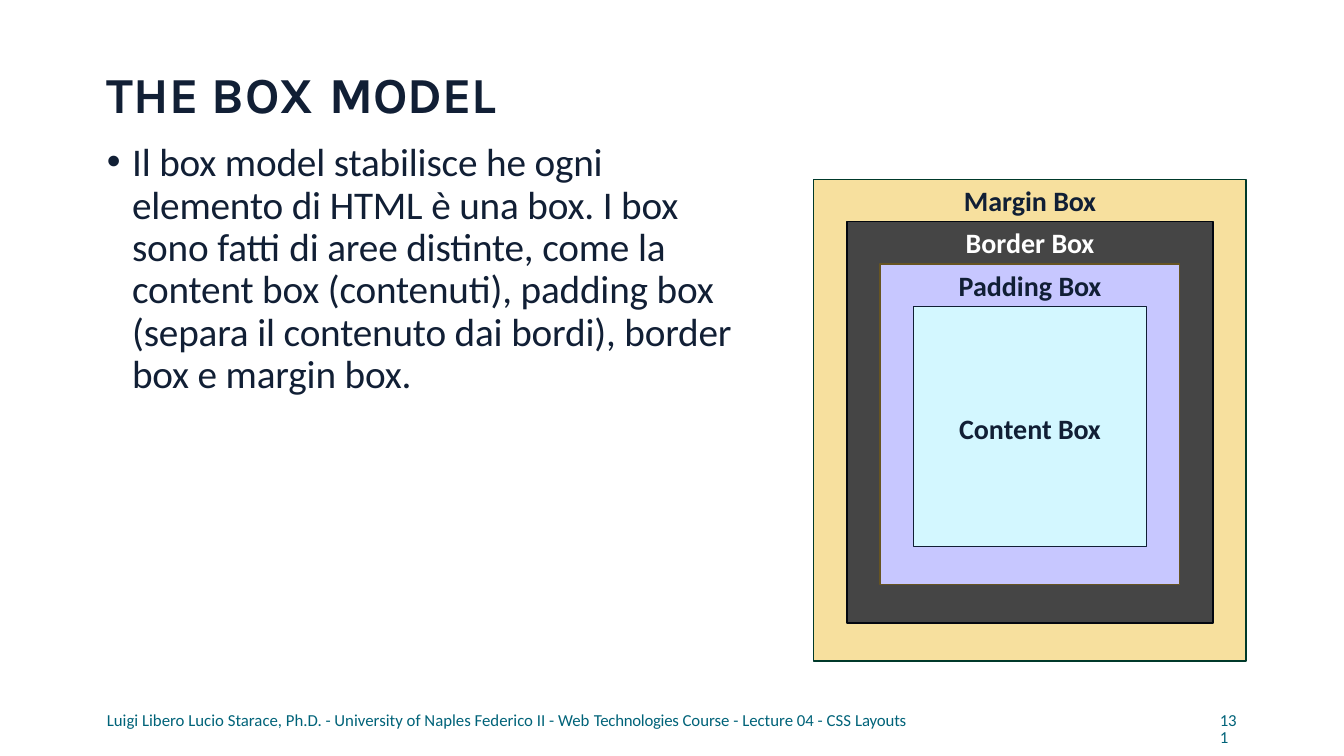
from lxml import etree
from pptx import Presentation
from pptx.dml.color import RGBColor
from pptx.enum.shapes import MSO_SHAPE
from pptx.enum.text import MSO_ANCHOR, PP_ALIGN
from pptx.oxml.ns import qn
from pptx.util import Inches, Pt

RECTANGLE = MSO_SHAPE.RECTANGLE
TOP, MIDDLE = MSO_ANCHOR.TOP, MSO_ANCHOR.MIDDLE
CENTER = PP_ALIGN.CENTER

NAVY, TEAL, WHITE = "111F35", "006379", "FFFFFF"
LEFT_EDGE, FOOTER_TOP = 1.05, 7.07
STEP_X, STEP_TOP, STEP_BOTTOM = 0.33, 0.42, 0.38

LAYERS = [
    ("Margin", "F7E09E", "00392A", NAVY),
    ("Border", "454545", "03070F", WHITE),
    ("Padding", "C7C7FF", "665422", NAVY),
    ("Content", "D3F7FF", NAVY, NAVY),
]


def color(hex_code):
    """Turn a hex string into a colour."""
    return RGBColor.from_string(hex_code)


def write(frame, pieces, size, ink, font="Calibri", bold=False, inset_top=0):
    """Fill a frame with one paragraph of (text, letter spacing) pieces."""
    frame.word_wrap = True
    frame.margin_left = frame.margin_right = frame.margin_bottom = 0
    frame.margin_top = Inches(inset_top)
    paragraph = frame.paragraphs[0]
    for words, spacing in pieces:
        run = paragraph.add_run()
        run.text = words
        run.font.size = Pt(size)
        run.font.name = font
        run.font.bold = bold
        run.font.color.rgb = color(ink)
        run.font._element.set("spc", str(round(spacing * 100)))
    return paragraph


def add_text(slide, box, pieces, size, ink, **style):
    """Place a text box at left, top, width, height."""
    frame = slide.shapes.add_textbox(*map(Inches, box)).text_frame
    return write(frame, pieces, size, ink, **style)


def indent(paragraph, left, first=0):
    """Set the left margin and first-line indent of a paragraph in inches."""
    properties = paragraph._p.get_or_add_pPr()
    properties.set("marL", str(Inches(left)))
    properties.set("indent", str(Inches(first)))
    return properties


def add_title(slide, box):
    """Place the slide heading."""
    pieces = [("THE ", 0), ("BOX ", 0.9), ("MODEL", -0.1)]
    heading = add_text(slide, box, pieces, 36, NAVY,
                       font="Karla", bold=True, inset_top=0.02)
    indent(heading, 0.01)


def add_explanation(slide, box):
    """Place the bulleted explanation of the box model."""
    words = ("Il box model stabilisce he ogni elemento di HTML è una box. "
             "I box sono fatti di aree distinte, come la content box (contenuti), "
             "padding box (separa il contenuto dai bordi), border box e margin box.")
    bullet = add_text(slide, box, [(words, -0.1)], 28, NAVY, inset_top=0.07)
    properties = indent(bullet, 0.26, -0.25)
    etree.SubElement(properties, qn("a:buFont")).set("typeface", "Arial")
    etree.SubElement(properties, qn("a:buChar")).set("char", "•")
    bullet.line_spacing = Pt(30.3)


def add_box_model(slide, box):
    """Draw the four nested areas, each inset from the one around it."""
    left, top, width, height = box
    for depth, (area, fill, outline, ink) in enumerate(LAYERS):
        layer = slide.shapes.add_shape(
            RECTANGLE,
            Inches(left + depth * STEP_X),
            Inches(top + depth * STEP_TOP),
            Inches(width - 2 * depth * STEP_X),
            Inches(height - depth * (STEP_TOP + STEP_BOTTOM)),
        )
        layer.shadow.inherit = False
        layer.fill.solid()
        layer.fill.fore_color.rgb = color(fill)
        layer.line.color.rgb = color(outline)
        layer.line.width = Pt(1)
        label = write(layer.text_frame, [(area + " ", 0), ("Box", -0.2)],
                      20, ink, bold=True, inset_top=0.04)
        label.alignment = CENTER
        innermost = depth == len(LAYERS) - 1
        layer.text_frame.vertical_anchor = MIDDLE if innermost else TOP


def add_footer(slide, left, top):
    """Place the course line and the page number."""
    course = [
        ("Luigi Libero Lucio Starace, Ph.D. - University of Naples Federico II - Web", 0),
        (" Technologies ", -0.2),
        ("Course - Lecture 04 - CSS ", 0),
        ("Layouts", -0.1),
    ]
    entries = [
        ((left, top, 8.01, 0.19), course, 0.01),
        ((12.06, top, 0.27, 0.19), [("131", -0.2)], 0.04),
    ]
    for box, pieces, margin in entries:
        entry = add_text(slide, box, pieces, 12, TEAL)
        indent(entry, margin)
        entry.line_spacing = Pt(12.4)


def main():
    """Build and save the slide."""
    deck = Presentation()
    deck.slide_width, deck.slide_height = Inches(13.33), Inches(7.5)
    slide = deck.slides.add_slide(deck.slide_layouts[6])
    add_footer(slide, LEFT_EDGE, FOOTER_TOP)
    add_title(slide, (LEFT_EDGE, 0.61, 11.11, 0.63))
    add_explanation(slide, (LEFT_EDGE, 1.34, 6.42, 2.59))
    add_box_model(slide, (8.07, 1.78, 4.29, 4.78))
    deck.save("out.pptx")


if __name__ == "__main__":
    main()
